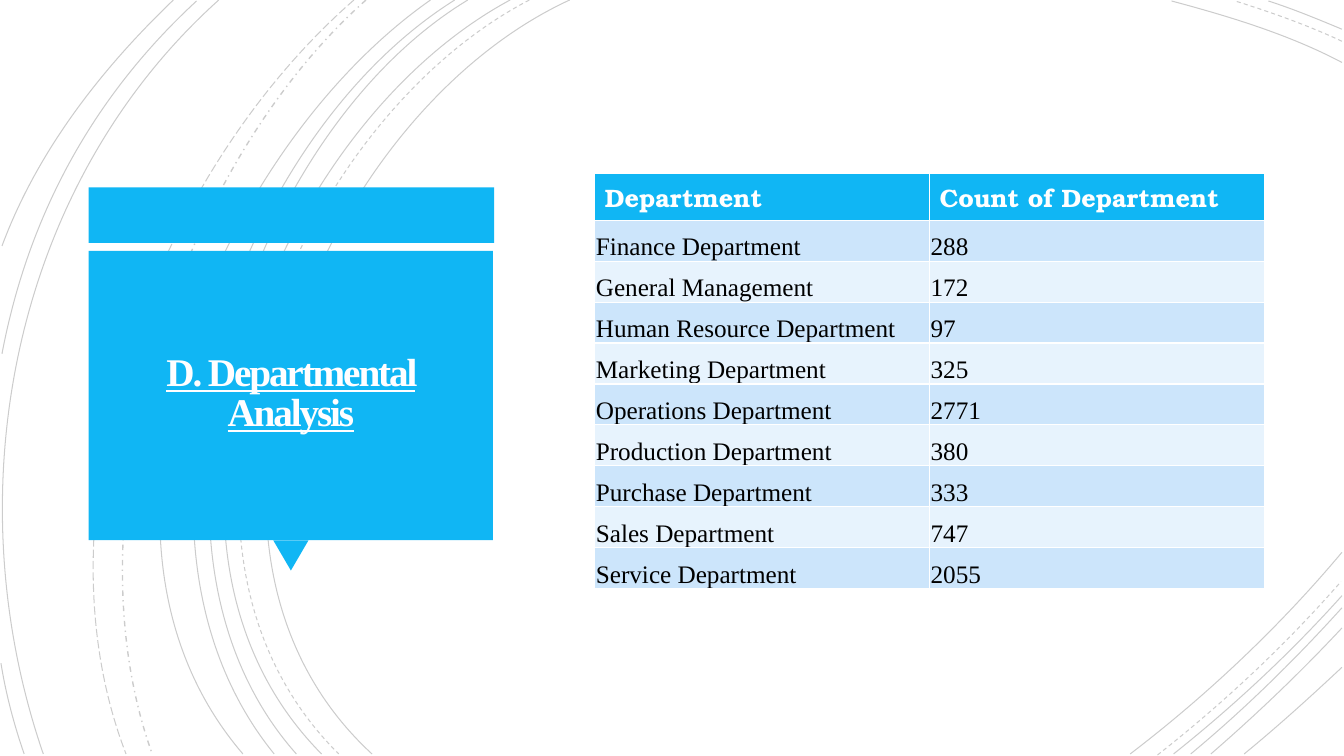
from lxml import etree
from pptx import Presentation
from pptx import util as u
from pptx.dml.color import RGBColor
from pptx.enum import dml, shapes, text
from pptx.oxml.ns import qn

SCALE = 9144  # EMU per px, 100 px to the inch
BLUE, WHITE, BLACK = "10B6F4", "FFFFFF", "000000"
BANDS = ["CCE5FB", "E7F3FD"]
SERIF = "Times New Roman"


def px(*lengths):
    return [u.Emu(length * SCALE) for length in lengths]


def paint(color_format, color):
    color_format.rgb = RGBColor.from_string(color)


deck = Presentation()
deck.slide_width, deck.slide_height = px(1333, 750)
page = deck.slides.add_slide(deck.slide_layouts[5])

# Background arcs: dash style, start, two control points, end
SOLID, DASH = dml.MSO_LINE.SOLID, dml.MSO_LINE.DASH
DASH_DOT, LONG_DASH = dml.MSO_LINE.DASH_DOT, dml.MSO_LINE.LONG_DASH
arcs = [
    (SOLID, (565, 0), (315, 115), (143, 540), (369, 748)),
    (SOLID, (1331, 62), (1278, 34), (1218, 16), (1162, 1)),
    (SOLID, (1121, 748), (1197, 690), (1269, 622), (1331, 548)),
    (DASH, (525, 0), (285, 125), (123, 537), (336, 748)),
    (DASH, (1331, 41), (1297, 25), (1260, 12), (1225, 1)),
    (DASH, (1148, 749), (1213, 698), (1275, 640), (1330, 577)),
    (SOLID, (506, 0), (270, 127), (110, 537), (319, 748)),
    (SOLID, (1331, 29), (1307, 19), (1283, 9), (1258, 1)),
    (SOLID, (1164, 748), (1223, 701), (1280, 648), (1331, 591)),
    (SOLID, (464, 0), (244, 133), (110, 541), (294, 748)),
    (SOLID, (1181, 748), (1234, 704), (1284, 655), (1331, 603)),
    (SOLID, (451, 0), (231, 138), (97, 533), (272, 748)),
    (SOLID, (1201, 748), (1246, 709), (1290, 667), (1331, 623)),
    (SOLID, (427, 0), (217, 147), (53, 529), (241, 748)),
    (SOLID, (1234, 748), (1267, 721), (1299, 692), (1331, 662)),
    (DASH_DOT, (363, 0), (176, 166), (65, 509), (151, 748)),
    (LONG_DASH, (351, 0), (157, 169), (29, 499), (125, 748)),
    (SOLID, (217, 0), (11, 185), (-46, 490), (43, 748)),
    (SOLID, (195, 1), (92, 96), (28, 214), (2, 351)),
    (SOLID, (1, 658), (6, 689), (14, 719), (24, 748)),
    (SOLID, (172, 0), (100, 69), (37, 150), (2, 244)),
]
for dash, start, *bends in arcs:
    builder = page.shapes.build_freeform(*start, scale=SCALE)
    builder.add_line_segments(bends, close=False)
    arc = builder.convert_to_shape()
    arc.shadow.inherit = False
    arc.fill.background()
    arc.line.width = u.Pt(1 if dash == DASH_DOT else 0.75)
    paint(arc.line.fill.fore_color if arc.line.fill.solid() else arc.line.color, BLACK)
    arc.line.dash_style = dash

    # Turn the three segments into one Bézier curve
    outline = arc._element.find(".//" + qn("a:path"))
    curve = etree.SubElement(outline, qn("a:cubicBezTo"))
    for segment in outline.findall(qn("a:lnTo")):
        curve.append(segment[0])
        outline.remove(segment)

    # Make the line 20 % opaque
    color = arc._element.find(".//" + qn("a:ln")).find(".//" + qn("a:srgbClr"))
    etree.SubElement(color, qn("a:alpha"), val="20000")

# Blue callout: top bar, pointer, panel
RECTANGLE = shapes.MSO_SHAPE.RECTANGLE
TRIANGLE = shapes.MSO_SHAPE.ISOSCELES_TRIANGLE
for kind, box, rotation in [
    (RECTANGLE, (88, 186, 402, 55), 0),
    (TRIANGLE, (271, 536, 35, 30), 180),
    (RECTANGLE, (88, 249, 401, 287), 0),
]:
    block = page.shapes.add_shape(kind, *px(*box))
    block.rotation = rotation
    block.shadow.inherit = False
    block.fill.solid()
    paint(block.fill.fore_color, BLUE)
    block.line.fill.background()

# Title, brought in front of the callout
title = page.shapes.title
page.shapes._spTree.append(title._element)
title.left, title.top, title.width, title.height = px(97, 257, 383, 269)
frame = title.text_frame
inset = px(25)[0]
for name, value in {
    "margin_left": inset, "margin_top": inset,
    "margin_right": inset, "margin_bottom": inset,
    "vertical_anchor": text.MSO_ANCHOR.MIDDLE,
    "word_wrap": True, "auto_size": text.MSO_AUTO_SIZE.NONE,
}.items():
    setattr(frame, name, value)
para = frame.paragraphs[0]
para.alignment = text.PP_ALIGN.CENTER
para.line_spacing = 0.85
span = para.add_run()
span.text = "D. Departmental Analysis"
for name, value in {"name": SERIF, "size": u.Pt(28), "bold": True, "underline": True}.items():
    setattr(span.font, name, value)
paint(span.font.color, "FFFEFF")
span.font._element.set("spc", "-150")

# Department table
rows = [
    ("Department", "Count of Department"),
    ("Finance Department", "288"),
    ("General Management", "172"),
    ("Human Resource Department", "97"),
    ("Marketing Department", "325"),
    ("Operations Department", "2771"),
    ("Production Department", "380"),
    ("Purchase Department", "333"),
    ("Sales Department", "747"),
    ("Service Department", "2055"),
]
table = page.shapes.add_table(len(rows), 2, *px(590, 172, 664, 406)).table
hair = px(1)[0]
body_format = {
    "margin_left": hair, "margin_top": hair, "margin_right": hair, "margin_bottom": 0,
    "vertical_anchor": text.MSO_ANCHOR.BOTTOM,
}
for row, values in enumerate(rows):
    header = row == 0
    for column, value in enumerate(values):
        cell = table.cell(row, column)
        cell.fill.solid()
        paint(cell.fill.fore_color, BLUE if header else BANDS[(row - 1) % 2])
        for name, setting in ({} if header else body_format).items():
            setattr(cell, name, setting)
        span = cell.text_frame.paragraphs[0].add_run()
        span.text = value
        span.font.name = "TeX Gyre Bonum" if header else SERIF
        span.font.size = u.Pt(18)
        span.font.bold = header
        paint(span.font.color, WHITE if header else BLACK)

deck.save("out.pptx")
